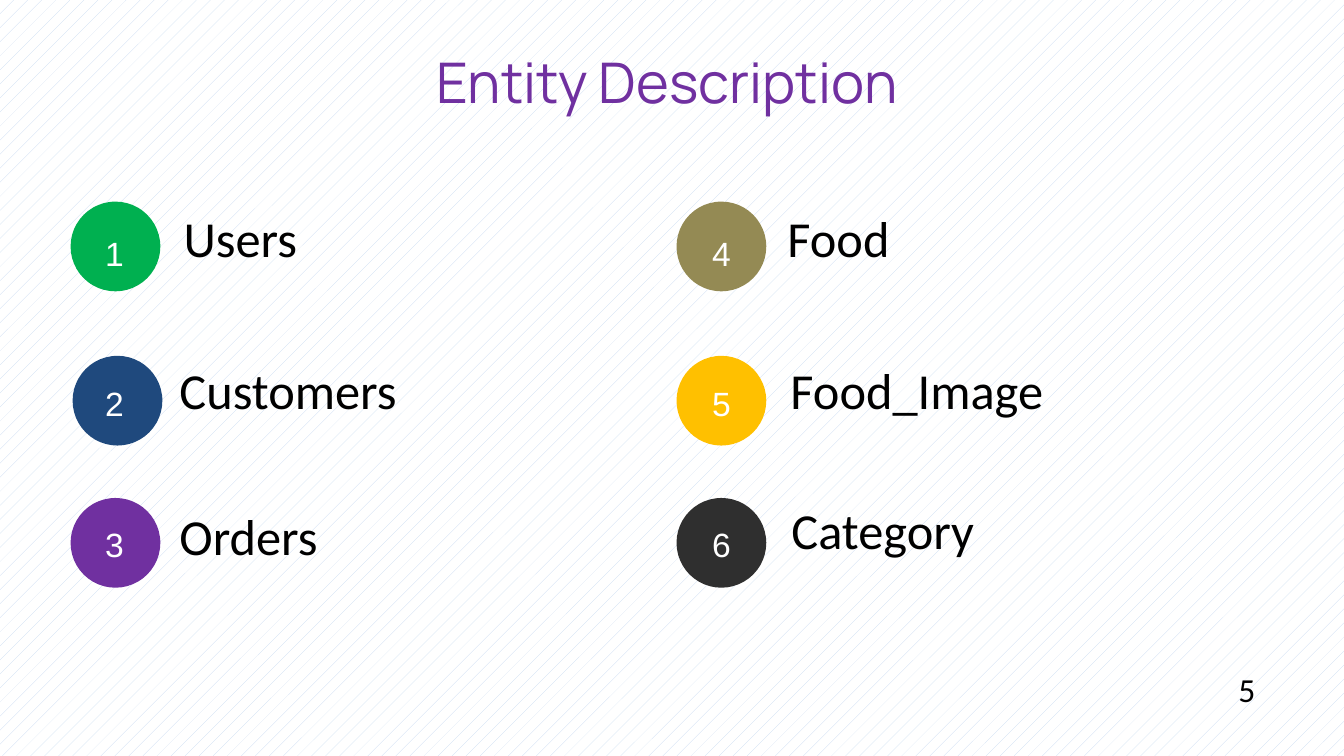
from pptx import Presentation
from pptx.dml.color import RGBColor
from pptx.enum.dml import MSO_PATTERN as Pat
from pptx.enum.shapes import MSO_SHAPE as Kind
from pptx.enum.text import MSO_ANCHOR as Anchor, MSO_AUTO_SIZE as Auto, PP_ALIGN as Align
from pptx.util import Pt

PX = 9144


def tint(code):
    return RGBColor.from_string(code)


class Deck:
    """Holds the text styles and the current slide, measured in px of 1/100 inch."""

    def __init__(self):
        self.deck = Presentation()
        self.deck.slide_width, self.deck.slide_height = 1333 * PX, 750 * PX
        self.slide = self.deck.slides.add_slide(self.deck.slide_layouts[5])
        self.styles = {
            "title": ("Manrope", 40, "7030A0", {"alignment": Align.CENTER}),
            "digit": ("Arial", 24, "FFFFFF",
                      {"alignment": Align.CENTER, "line_spacing": 1.5}),
            "label": ("Calibri", 36, "000000",
                      {"alignment": Align.JUSTIFY, "line_spacing": Pt(18.7),
                       "space_before": Pt(7.5)}),
            "page": ("Calibri", 24, "000000", {"alignment": Align.RIGHT}),
        }

    def back(self, fore, base):
        fill = self.slide.background.fill
        fill.patterned()
        fill.pattern = Pat.PERCENT_5
        fill.fore_color.rgb, fill.back_color.rgb = tint(fore), tint(base)

    def letter(self, shape, text, style, inset, anchor):
        frame = shape.text_frame
        form = {"word_wrap": True, "auto_size": Auto.NONE, "vertical_anchor": anchor}
        sides = ("margin_left", "margin_top", "margin_right", "margin_bottom")
        form.update(zip(sides, (gap * PX for gap in inset)))
        for key, value in form.items():
            setattr(frame, key, value)
        face, size, color, para = self.styles[style]
        line = frame.paragraphs[0]
        for key, value in para.items():
            setattr(line, key, value)
        run = line.add_run()
        run.text = text
        for key, value in {"name": face, "size": Pt(size), "bold": False}.items():
            setattr(run.font, key, value)
        run.font.color.rgb = tint(color)

    def title(self, text, *box):
        shape = self.slide.shapes.title
        for key, value in zip(("left", "top", "width", "height"), box):
            setattr(shape, key, value * PX)
        self.letter(shape, text, "title", (0, 5, 10, 5), Anchor.TOP)

    def text(self, text, style, box, inset=(0, 0, 0, 0), anchor=Anchor.TOP):
        shape = self.slide.shapes.add_textbox(*(side * PX for side in box))
        self.letter(shape, text, style, inset, anchor)

    def disc(self, left, top, size, color):
        box = (side * PX for side in (left, top, size, size))
        shape = self.slide.shapes.add_shape(Kind.ROUNDED_RECTANGLE, *box)
        shape.adjustments[0] = 0.5
        shape.shadow.inherit = False
        shape.fill.solid()
        shape.fill.fore_color.rgb = tint(color)
        shape.line.fill.background()

    def save(self):
        self.deck.save("out.pptx")


def main():
    deck = Deck()
    deck.back("C6D9F1", "FFFFFF")
    deck.title("Entity Description", 363, 42, 607, 84)
    rows = ((200, 218), (353, 367), (494, 507))
    items = (
        ("Users", "00B050", 70, (182, 204, 235, 67), 35),
        ("Customers", "1F497D", 72, (178, 390, 235, 67), 0),
        ("Orders", "7030A0", 70, (178, 535, 235, 67), 0),
        ("Food", "948A54", 671, (781, 240, 235, 67), 0),
        ("Food_Image", "FFC000", 671, (784, 390, 291, 67), 0),
        ("Category", "2F2F2F", 671, (785, 529, 235, 67), 0),
    )
    for spot, (name, color, left, box, drop) in enumerate(items):
        col, row = divmod(spot, len(rows))
        top, high = rows[row]
        deck.disc(left, top, 89, color)
        deck.text(str(spot + 1), "digit", (93 + 602 * col, high, 41, 46),
                  (10, 10, 10, 10), Anchor.MIDDLE)
        deck.text(name, "label", box, (0, drop, 0, 0))
    deck.text("5", "page", (1175, 659, 80, 57), (10, 5, 10, 5))
    deck.save()


if __name__ == "__main__":
    main()
